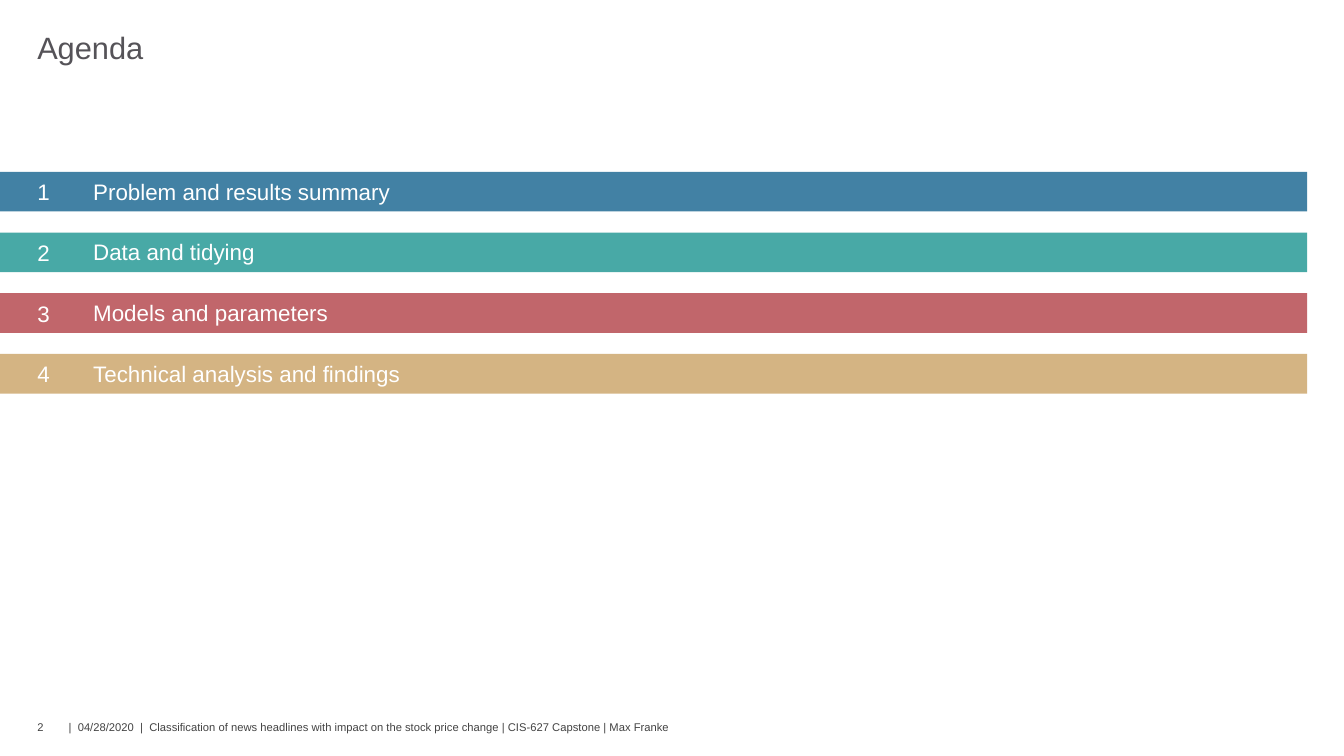
import pptx
import pptx.util
import pptx.dml.color
import pptx.enum.shapes
import pptx.enum.text

Cm = pptx.util.Cm
RGBColor = pptx.dml.color.RGBColor
Anchor = pptx.enum.text.MSO_ANCHOR

WHITE = RGBColor(0xFF, 0xFF, 0xFF)
TITLE_GREY = RGBColor(0x55, 0x53, 0x58)
FOOTER_GREY = RGBColor(0x43, 0x43, 0x43)
BLUE = RGBColor(0x42, 0x81, 0xA4)
TEAL = RGBColor(0x48, 0xA9, 0xA6)
RED = RGBColor(0xC1, 0x66, 0x6B)
SAND = RGBColor(0xD4, 0xB4, 0x83)

MARGIN = 0.94
BAR_TOP, BAR_PITCH, BAR_HEIGHT, BAR_WIDTH = 4.33, 1.53, 1, 32.94
LABEL_LEFT, LABEL_WIDTH = 2.35, 18.08
FOOTER_TOP, FOOTER_HEIGHT = 18.18, 0.3


def add_text(page, text, left, top, width, height, size, color,
             anchor=Anchor.TOP, inset=0.0):
    box = page.shapes.add_textbox(Cm(left), Cm(top), Cm(width), Cm(height))
    frame_format = {
        "margin_left": 0, "margin_right": 0,
        "margin_top": Cm(inset), "margin_bottom": Cm(inset),
        "vertical_anchor": anchor, "word_wrap": True,
    }
    for name, value in frame_format.items():
        setattr(box.text_frame, name, value)
    span = box.text_frame.paragraphs[0].add_run()
    span.text = text
    for name, value in {"name": "Arial", "size": pptx.util.Pt(size)}.items():
        setattr(span.font, name, value)
    span.font.color.rgb = color


deck = pptx.Presentation()
deck.slide_width, deck.slide_height = Cm(33.87), Cm(19.05)
page = deck.slides.add_slide(deck.slide_layouts[6])

# Title
add_text(page, "Agenda", MARGIN, 0.73, 32, 0.94, 22, TITLE_GREY)

# Numbered agenda bars
topics = [
    ("Problem and results summary", BLUE),
    ("Data and tidying", TEAL),
    ("Models and parameters", RED),
    ("Technical analysis and findings", SAND),
]
for index, (label, color) in enumerate(topics):
    top = BAR_TOP + index * BAR_PITCH
    bar = page.shapes.add_shape(
        pptx.enum.shapes.MSO_SHAPE.RECTANGLE,
        Cm(0), Cm(top), Cm(BAR_WIDTH), Cm(BAR_HEIGHT))
    bar.shadow.inherit = False
    bar.fill.solid()
    bar.fill.fore_color.rgb = color
    bar.line.fill.background()
    add_text(page, str(index + 1), MARGIN, top, 1.41, BAR_HEIGHT, 16, WHITE,
             anchor=Anchor.MIDDLE, inset=0.15)
    add_text(page, label, LABEL_LEFT, top, LABEL_WIDTH, BAR_HEIGHT, 16, WHITE,
             inset=0.15)

# Footer
footer_parts = [
    ("2", MARGIN, 0.79),
    ("|  04/28/2020  |  Classification of news headlines with impact on the "
     "stock price change | CIS-627 Capstone | Max Franke", 1.73, 28.93),
]
for text, left, width in footer_parts:
    add_text(page, text, left, FOOTER_TOP, width, FOOTER_HEIGHT, 8,
             FOOTER_GREY, anchor=Anchor.BOTTOM)

deck.save("out.pptx")
